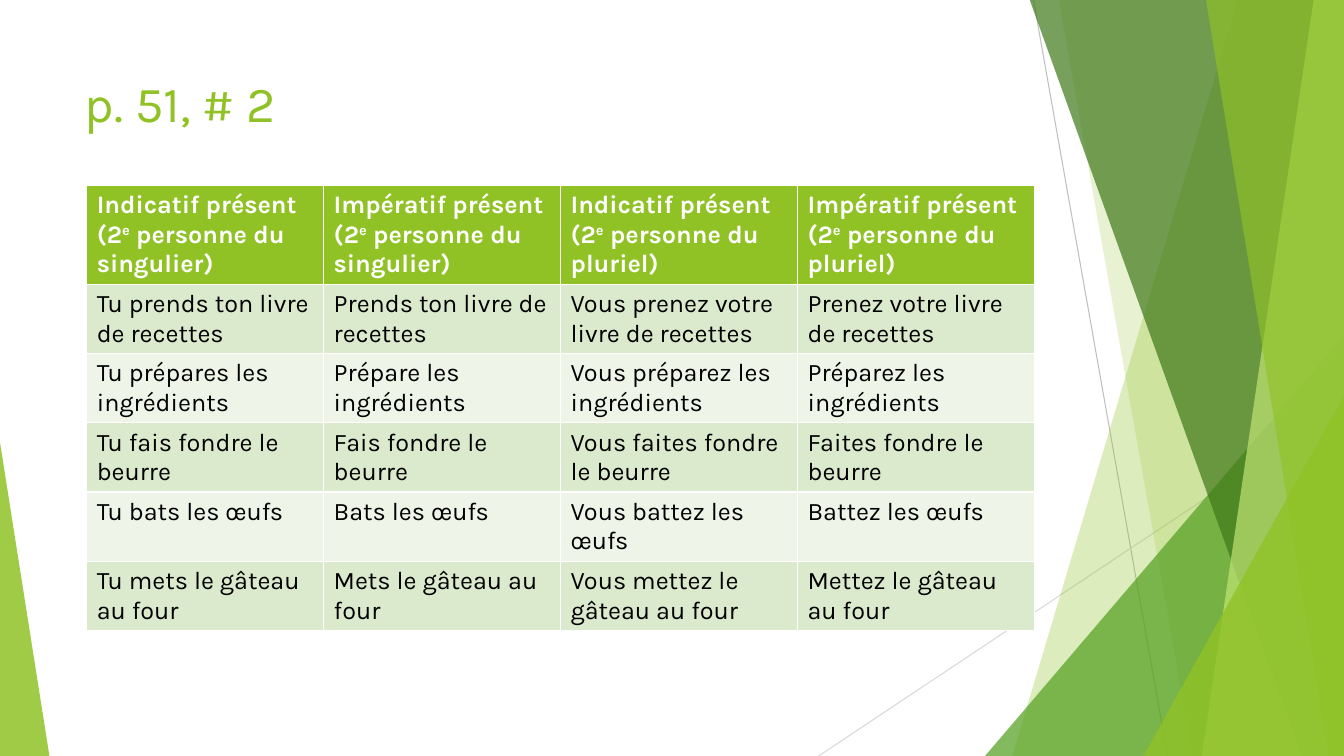
from lxml import etree
from pptx import Presentation
from pptx.dml.color import RGBColor
from pptx.enum.shapes import MSO_CONNECTOR, MSO_SHAPE
from pptx.enum.text import MSO_ANCHOR, MSO_AUTO_SIZE, PP_ALIGN
from pptx.oxml.ns import qn
from pptx.util import Inches, Pt

LEFT, TOP = PP_ALIGN.LEFT, MSO_ANCHOR.TOP
FIXED = MSO_AUTO_SIZE.NONE
LINE, TRIANGLE = MSO_CONNECTOR.STRAIGHT, MSO_SHAPE.ISOSCELES_TRIANGLE

WIDE, HIGH, EDGE = 13.33, 7.5, -0.01
FONT = "Karla"
COLORS = {
    "lime": "90C226", "green": "54A021", "dark": "3F7819", "pale": "C0E474",
    "band": "DBE9CD", "light": "EEF4E8", "gray": "BFBFBF", "mist": "D9D9D9",
    "white": "FFFFFF", "black": "000000",
}

TITLE = "p. 51, # 2"
HEADS = [
    (mood, number)
    for number in ("singulier", "pluriel")
    for mood in ("Indicatif", "Impératif")
]
ROWS = [
    ("Tu prends ton livre de recettes", "Prends ton livre de recettes",
     "Vous prenez votre livre de recettes", "Prenez votre livre de recettes"),
    ("Tu prépares les ingrédients", "Prépare les ingrédients",
     "Vous préparez les ingrédients", "Préparez les ingrédients"),
    ("Tu fais fondre le beurre", "Fais fondre le beurre",
     "Vous faites fondre le beurre", "Faites fondre le beurre"),
    ("Tu bats les œufs", "Bats les œufs",
     "Vous battez les œufs", "Battez les œufs"),
    ("Tu mets le gâteau au four", "Mets le gâteau au four",
     "Vous mettez le gâteau au four", "Mettez le gâteau au four"),
]

# Start, end, color
RULES = [
    ((10.25, 0), (11.58, HIGH), "gray"),
    ((WIDE, 4.03), (8.12, HIGH), "mist"),
]
# Kind, then top and bottom x (blade) or left, top, width, apex (wedge),
# then color and opacity in percent
FACETS = [
    ("blade", (12.28, 10.04), "lime", 30),
    ("blade", (10.5, 11.83), "lime", 20),
    ("wedge", (9.77, 3.33, 3.56, 1), "green", 72),
    ("blade", (10.21, 12.91), "dark", 70),
    ("blade", (13.03, 11.92), "pale", 70),
    ("blade", (11.96, 13.18), "lime", 65),
    ("wedge", (11.34, 3.93, 1.99, 1), "lime", 80),
    ("wedge", (0, 4.39, 0.49, 0), "lime", 85),
]


def tint(name):
    return RGBColor.from_string(COLORS[name])


def add_rule(shapes, start, end, color):
    rule = shapes.add_connector(LINE, *map(Inches, start + end))
    rule.line.color.rgb = tint(color)
    rule.line.width = Pt(0.75)
    etree.SubElement(rule._element.spPr, qn("a:effectLst"))


def add_blade(shapes, top, bottom):
    """Draw a panel that runs from a slanted edge to the slide's right side."""
    points = [(WIDE, EDGE), (WIDE, HIGH), (bottom, HIGH)]
    pen = shapes.build_freeform(Inches(top), Inches(EDGE), scale=1)
    pen.add_line_segments([(Inches(x), Inches(y)) for x, y in points], close=True)
    return pen.convert_to_shape()


def add_wedge(shapes, left, top, width, apex):
    """Draw a right triangle that stands on the slide's bottom edge."""
    box = map(Inches, (left, top, width, HIGH - top))
    wedge = shapes.add_shape(TRIANGLE, *box)
    wedge.adjustments[0] = apex
    return wedge


def paint(shape, color, opacity):
    shape.shadow.inherit = False
    shape.line.fill.background()
    shape.fill.solid()
    shape.fill.fore_color.rgb = tint(color)
    node = shape._element.spPr.find(qn("a:solidFill"))[0]
    etree.SubElement(node, qn("a:alpha"), val=str(opacity * 1000))


def add_run(para, text, size, color, bold=False, raised=False):
    run = para.add_run()
    run.text = text
    font = run.font
    font.name, font.size, font.bold = FONT, Pt(size), bold
    font.color.rgb = tint(color)
    if raised:
        run._r.get_or_add_rPr().set("baseline", "30000")


def fill_cell(cell, color):
    cell.fill.solid()
    cell.fill.fore_color.rgb = tint(color)
    return cell.text_frame.paragraphs[0]


def add_grid(shapes):
    count = len(ROWS) + 1
    box = map(Inches, (0.86, 1.84, 9.4, 0.41 * count))
    grid = shapes.add_table(count, len(HEADS), *box).table
    for col, (mood, number) in enumerate(HEADS):
        para = fill_cell(grid.cell(0, col), "lime")
        add_run(para, f"{mood} présent (2", 18, "white", True)
        add_run(para, "e", 18, "white", True, True)
        add_run(para, f" personne du {number})", 18, "white", True)
    for row, texts in enumerate(ROWS, 1):
        for col, text in enumerate(texts):
            para = fill_cell(grid.cell(row, col), "band" if row % 2 else "light")
            add_run(para, text, 18, "black")


def set_title(title):
    title.left, title.top = Inches(0.74), Inches(0.67)
    title.width, title.height = Inches(9.4), Inches(1.44)
    frame = title.text_frame
    frame.word_wrap, frame.auto_size = True, FIXED
    frame.vertical_anchor = TOP
    para = frame.paragraphs[0]
    para.alignment = LEFT
    add_run(para, TITLE, 36, "lime")


def main():
    deck = Presentation()
    deck.slide_width, deck.slide_height = Inches(WIDE), Inches(HIGH)
    slide = deck.slides.add_slide(deck.slide_layouts[5])
    shapes = slide.shapes
    for rule in RULES:
        add_rule(shapes, *rule)
    draw = {"blade": add_blade, "wedge": add_wedge}
    for kind, place, color, opacity in FACETS:
        paint(draw[kind](shapes, *place), color, opacity)
    set_title(shapes.title)
    add_grid(shapes)
    deck.save("out.pptx")


if __name__ == "__main__":
    main()
